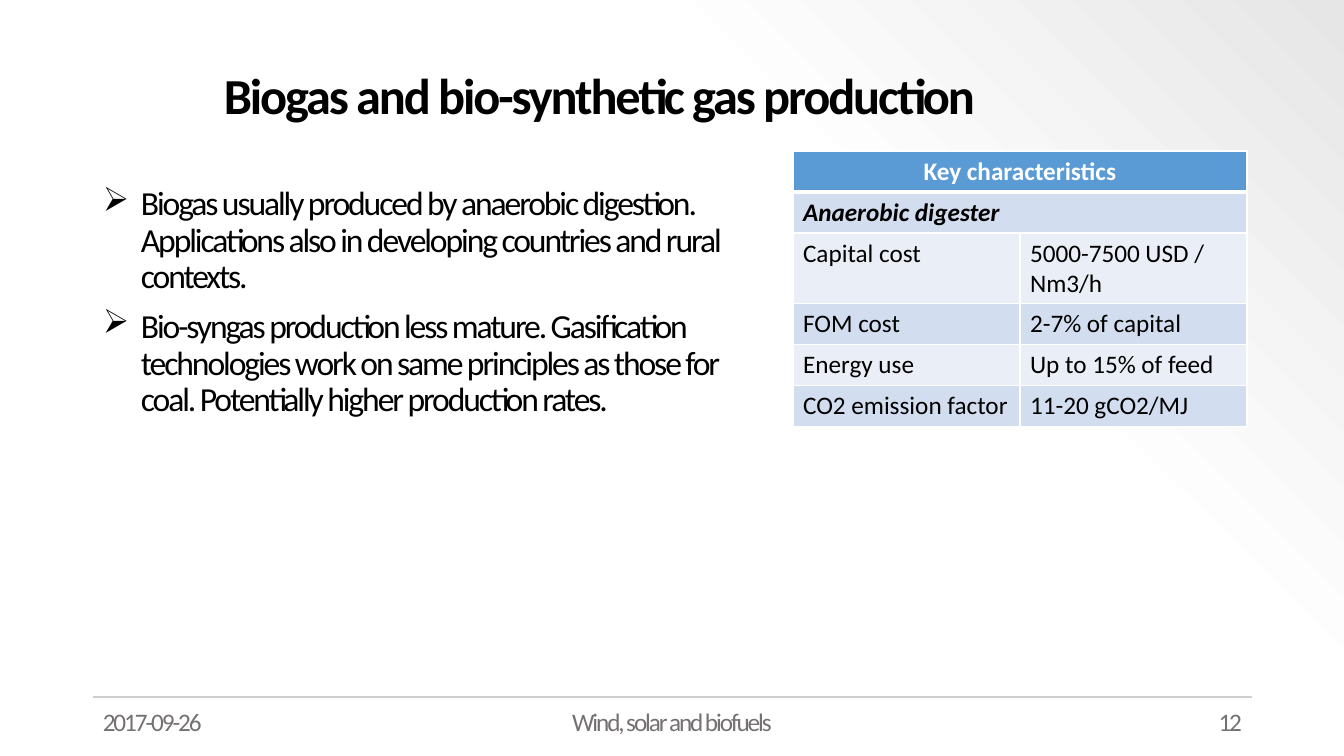
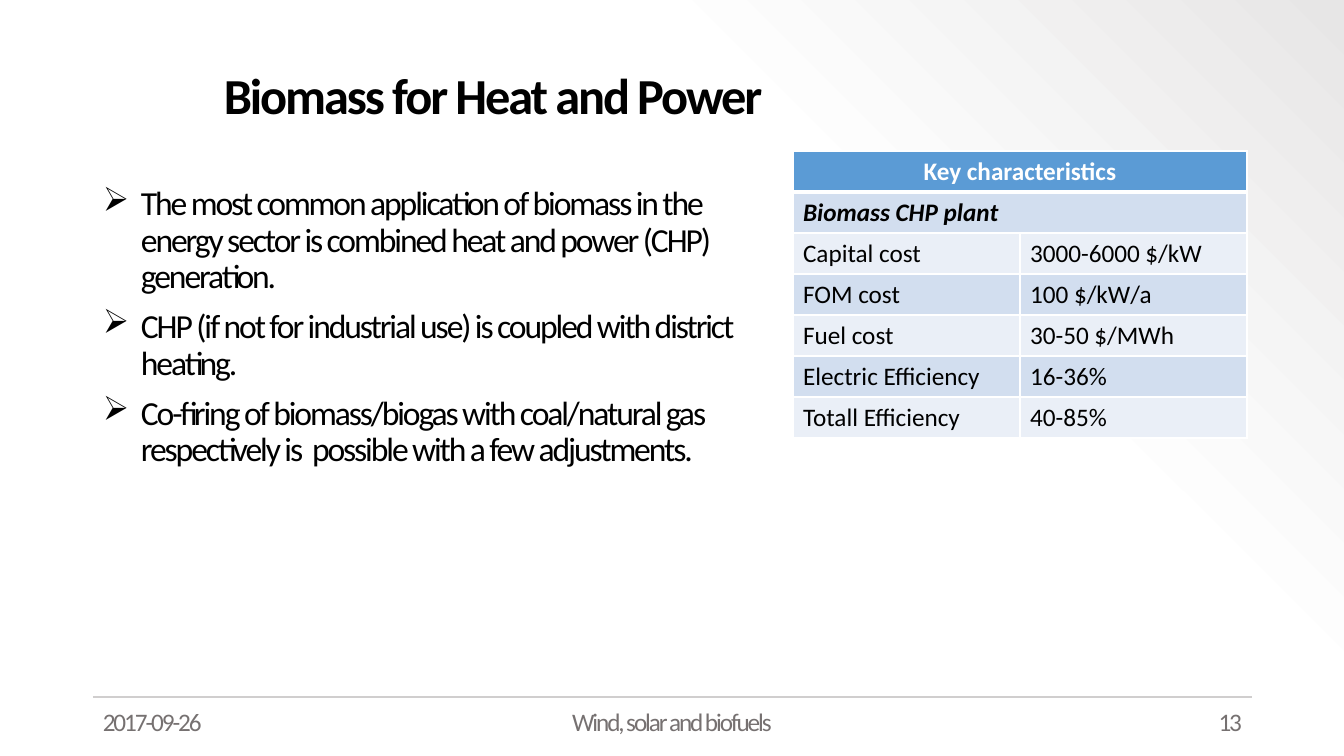
from lxml import etree
from pptx import Presentation, util as u
from pptx.dml.color import RGBColor
from pptx.enum import shapes, text
from pptx.oxml.ns import qn

PX = 12192000 / 1344
FONT = "Calibri"
COLOURS = {"ink": "000000", "white": "FFFFFF", "footer": "767171", "rule": "D0CECE",
           "header": "5B9BD5", "dark band": "D2DEEF", "light band": "EAEFF7"}
BACKDROP = [(0, "FFFFFF", 100), (69, "FDFDFD", 100), (100, "E7E6E6", 50)]
LEFT, CENTRE, RIGHT = text.PP_ALIGN.LEFT, text.PP_ALIGN.CENTER, text.PP_ALIGN.RIGHT
DATE, TOPIC, FIRST_NUMBER = "2017-09-26", "Wind, solar and biofuels", 12
TABLE_HEADING = "Key characteristics"
COLUMN, ROW = 227, 41
INDENT = 38
TIGHT = -150

SLIDES = [
    {"title": "Biogas and bio-synthetic gas production",
     "points": [
         "Biogas usually produced by anaerobic digestion. Applications also in developing "
         "countries and rural contexts.",
         "Bio-syngas production less mature. Gasification technologies work on same principles "
         "as those for coal. Potentially higher production rates."],
     "plant": "Anaerobic digester",
     "facts": [("Capital cost", "5000-7500 USD / Nm3/h"),
               ("FOM cost", "2-7% of capital"),
               ("Energy use", "Up to 15% of feed"),
               ("CO2 emission factor", "11-20 gCO2/MJ")]},
    {"title": "Biomass for Heat and Power",
     "points": [
         "The most common application of biomass in the energy sector is combined heat and "
         "power (CHP) generation.",
         "CHP (if not for industrial use) is coupled with district heating.",
         "Co-firing of biomass/biogas with coal/natural gas respectively is  possible with a "
         "few adjustments."],
     "plant": "Biomass CHP plant",
     "facts": [("Capital cost", "3000-6000 $/kW"),
               ("FOM cost", "100 $/kW/a"),
               ("Fuel cost", "30-50 $/MWh"),
               ("Electric Efficiency", "16-36%"),
               ("Totall Efficiency", "40-85%")]},
]


def px(*lengths):
    return [u.Emu(round(length * PX)) for length in lengths]


def rgb(name):
    return RGBColor.from_string(COLOURS[name])


def style(paragraph, size, colour, bold=False, italic=False, spacing=0):
    for run in paragraph.runs:
        font = run.font
        font.name, font.size, font.bold, font.italic = FONT, u.Pt(size), bold, italic
        font.color.rgb = rgb(colour)
        if spacing:
            run._r.get_or_add_rPr().set("spc", str(spacing))


def add_text(slide, box, lines, size, colour, bold=False, align=LEFT, middle=True):
    frame = slide.shapes.add_textbox(*px(*box)).text_frame
    frame.word_wrap = True
    frame.vertical_anchor = text.MSO_ANCHOR.MIDDLE if middle else text.MSO_ANCHOR.TOP
    frame.text = "\n".join(lines)
    for paragraph in frame.paragraphs:
        paragraph.alignment = align
        style(paragraph, size, colour, bold, spacing=TIGHT)
    return frame.paragraphs


def paint_backdrop(master):
    fill = master.background.fill
    fill.gradient()
    fill.gradient_angle = 45
    stops = master.element.find(".//" + qn("p:bg")).find(".//" + qn("a:gsLst"))
    for stop in list(stops):
        stops.remove(stop)
    for position, colour, opacity in BACKDROP:
        stop = etree.SubElement(stops, qn("a:gs"), pos=str(position * 1000))
        tone = etree.SubElement(stop, qn("a:srgbClr"), val=colour)
        if opacity < 100:
            etree.SubElement(tone, qn("a:alpha"), val=str(opacity * 1000))


def add_footer(slide, number):
    rule = slide.shapes.add_connector(shapes.MSO_CONNECTOR.STRAIGHT, *px(93, 697, 1252, 697))
    rule.line.color.rgb, rule.line.width = rgb("rule"), u.Pt(1.5)
    etree.SubElement(rule._element.spPr, qn("a:effectLst"))
    for left, width, words, align in [(93, 302, DATE, LEFT), (445, 454, TOPIC, CENTRE),
                                      (950, 302, str(number), RIGHT)]:
        add_text(slide, (left, 701, width, 40), [words], 18, "footer", align=align)


def add_points(slide, points):
    paragraphs = add_text(slide, (93, 182, 683, 541), points, 24, "ink", middle=False)
    for index, paragraph in enumerate(paragraphs):
        paragraph.line_spacing = 0.9
        if index:
            paragraph.space_before = u.Pt(10)
        props = paragraph._p.get_or_add_pPr()
        indent = px(INDENT)[0]
        props.set("marL", str(indent))
        props.set("indent", str(-indent))
        etree.SubElement(props, qn("a:buChar"), char="➢")


def add_borders(cell, row):
    props = cell._tc.get_or_add_tcPr()
    thick = {(0, "B"), (1, "T")}
    for side in "LRTB":
        width = u.Pt(3 if (row, side) in thick else 1)
        line = etree.SubElement(props, qn("a:ln" + side), w=str(width))
        paint = etree.SubElement(line, qn("a:solidFill"))
        etree.SubElement(paint, qn("a:srgbClr"), val=COLOURS["white"])


def add_facts(slide, plant, facts):
    rows = [(TABLE_HEADING, ""), (plant, ""), *facts]
    table = slide.shapes.add_table(len(rows), 2, *px(793, 151, 2 * COLUMN, ROW * len(rows))).table
    table.horz_banding = False
    for r, entries in enumerate(rows):
        band = "header" if r == 0 else "dark band" if r % 2 else "light band"
        for c, words in enumerate(entries):
            cell = table.cell(r, c)
            add_borders(cell, r)
            cell.fill.solid()
            cell.fill.fore_color.rgb = rgb(band)
            cell.text_frame.text = words
            paragraph = cell.text_frame.paragraphs[0]
            paragraph.alignment = LEFT if r else CENTRE
            style(paragraph, 18, "ink" if r else "white", bold=r < 2, italic=r == 1)
        if r < 2:
            table.cell(r, 0).merge(table.cell(r, 1))


def main():
    """Build the bioenergy slides."""
    deck = Presentation()
    deck.slide_width, deck.slide_height = px(1344, 756)
    paint_backdrop(deck.slide_master)
    for number, content in enumerate(SLIDES, FIRST_NUMBER):
        slide = deck.slides.add_slide(deck.slide_layouts[6])
        add_footer(slide, number)
        title = add_text(slide, (214, 37, 1038, 123), [content["title"]], 36, "ink", bold=True)
        title[0].line_spacing = 0.9
        add_points(slide, content["points"])
        add_facts(slide, content["plant"], content["facts"])
    deck.save("out.pptx")


if __name__ == "__main__":
    main()
